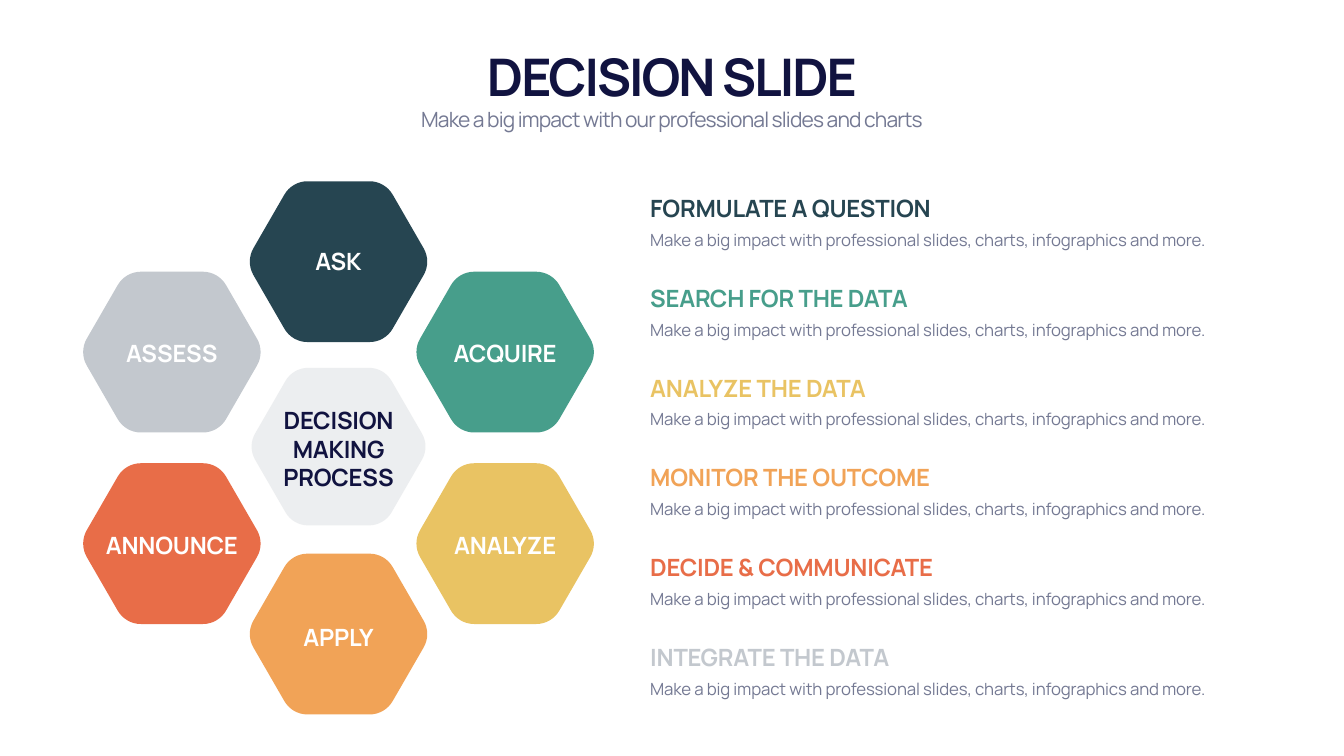
import math

from pptx import Presentation, util as u
from pptx.dml.color import RGBColor
from pptx.enum import text
from pptx.oxml import ns
from pptx.oxml.xmlchemy import OxmlElement

NAVY = RGBColor(0x11, 0x13, 0x40)
MUTED = RGBColor(0x74, 0x79, 0x93)
WHITE = RGBColor(0xFF, 0xFF, 0xFF)
SLATE = RGBColor(0x26, 0x45, 0x51)
GREEN = RGBColor(0x47, 0x9E, 0x8B)
YELLOW = RGBColor(0xE9, 0xC3, 0x63)
ORANGE = RGBColor(0xF1, 0xA3, 0x57)
CORAL = RGBColor(0xE8, 0x6D, 0x48)
GREY = RGBColor(0xC3, 0xC8, 0xCE)

FONT = "Manrope"
LEFT, CENTER = text.PP_ALIGN.LEFT, text.PP_ALIGN.CENTER
TOP, MIDDLE, BOTTOM = text.MSO_ANCHOR.TOP, text.MSO_ANCHOR.MIDDLE, text.MSO_ANCHOR.BOTTOM

STEPS = [
    ("ASK", "FORMULATE A QUESTION", SLATE),
    ("ACQUIRE", "SEARCH FOR THE DATA", GREEN),
    ("ANALYZE", "ANALYZE THE DATA", YELLOW),
    ("APPLY", "MONITOR THE OUTCOME", ORANGE),
    ("ANNOUNCE", "DECIDE & COMMUNICATE", CORAL),
    ("ASSESS", "INTEGRATE THE DATA", GREY),
]
DETAIL = "Make a big impact with professional slides, charts, infographics and more."


def add_text(slide, box, words, size, color, bold=False, align=LEFT,
             anchor=TOP, tracking=-0.3, line=None):
    """Place one run of styled text in a box of left, top, width, height."""
    frame = slide.shapes.add_textbox(*map(u.Pt, box)).text_frame
    frame.word_wrap = True
    frame.auto_size = text.MSO_AUTO_SIZE.SHAPE_TO_FIT_TEXT
    frame.vertical_anchor = anchor
    paragraph = frame.paragraphs[0]
    paragraph.alignment = align
    if line:
        paragraph.line_spacing = u.Pt(line)
    run = paragraph.add_run()
    run.text = words
    run.font.name, run.font.size, run.font.bold = FONT, u.Pt(size), bold
    run.font.color.rgb = color
    run._r.get_or_add_rPr().set("spc", str(round(tracking * 100)))


def round_corners(shape):
    """Turn the three segments at each of six corners into one curve."""
    segments = list(shape._element.iter(ns.qn("a:lnTo")))
    for first in range(0, 24, 4):
        curve = OxmlElement("a:cubicBezTo")
        segments[first].addprevious(curve)
        for segment in segments[first:first + 3]:
            curve.append(segment[0])
            segment.getparent().remove(segment)


def add_hexagon(slide, center_x, center_y, color, scale=1, opacity=None):
    """Draw a hexagon with rounded corners around a centre."""
    reach, radius, handle = 88.5 * scale, 38.2 * scale, 13.65 * scale
    points = []
    for corner in range(0, 360, 60):
        for turn, pull in ((-30, 0), (-30, handle), (30, -handle), (30, 0)):
            middle, angle = math.radians(corner), math.radians(corner + turn)
            x = reach * math.cos(middle) + radius * math.cos(angle) - pull * math.sin(angle)
            y = reach * math.sin(middle) + radius * math.sin(angle) + pull * math.cos(angle)
            points.append((u.Pt(center_x + x), u.Pt(center_y + y)))
    builder = slide.shapes.build_freeform(*points[0])
    builder.add_line_segments(points[1:], close=True)
    shape = builder.convert_to_shape()
    round_corners(shape)
    shape.shadow.inherit = False
    shape.line.fill.background()
    shape.fill.solid()
    shape.fill.fore_color.rgb = color
    if opacity:
        alpha = OxmlElement("a:alpha")
        alpha.set("val", str(opacity * 1000))
        shape.fill._xPr.solidFill[0].append(alpha)


def add_header(slide, left, top, width):
    """Place the title and subtitle."""
    add_text(slide, (left, top, width, 97.2), "DECISION SLIDE", 74, NAVY, True,
             CENTER, BOTTOM, -2.9)
    add_text(slide, (left, top + 90, width, 44),
             "Make a big impact with our professional slides and charts",
             30, MUTED, align=CENTER, tracking=-1.2)


def add_wheel(slide, left, top, width, height):
    """Place six step hexagons around a central one, then their labels."""
    center_x, center_y = left + width / 2, top + height / 2
    column, row, outer = 238, 136.8, height / 2 - 114.8
    places = [(0, -outer), (column, -row), (column, row),
              (0, outer), (-column, row), (-column, -row)]
    add_hexagon(slide, center_x, center_y - 1.8, GREY, 0.98, 30)
    for (_, _, color), (x, y) in zip(STEPS, places):
        add_hexagon(slide, center_x + x, center_y + y, color)
    for (label, _, _), (x, y) in zip(STEPS, places):
        label_y = center_y + 1.7 + y * (1 if x else 1.01)
        add_text(slide, (center_x + x - 111, label_y - 24, 222, 48), label, 34,
                 WHITE, True, CENTER, MIDDLE)
    add_text(slide, (center_x - 97.5, center_y - 64.5, 195, 131),
             "DECISION MAKING PROCESS", 34, NAVY, True, CENTER, MIDDLE)


def add_legend(slide, left, top, width, pitch):
    """List each step's heading with its detail line below."""
    for index, (_, heading, color) in enumerate(STEPS):
        y = top + index * pitch
        add_text(slide, (left, y, width, 48.2), heading, 34, color, True,
                 anchor=BOTTOM)
        add_text(slide, (left, y + 44.3, width, 41.8), DETAIL, 24, MUTED,
                 tracking=-0.2, line=36)


presentation = Presentation()
presentation.slide_width, presentation.slide_height = u.Pt(1919.52), u.Pt(1080)
slide = presentation.slides.add_slide(presentation.slide_layouts[6])
add_header(slide, 119.6, 59, 1680)
add_wheel(slide, 119, 259, 729, 761.6)
add_legend(slide, 921.6, 272.9, 893.5, 128.3)
presentation.save("out.pptx")
